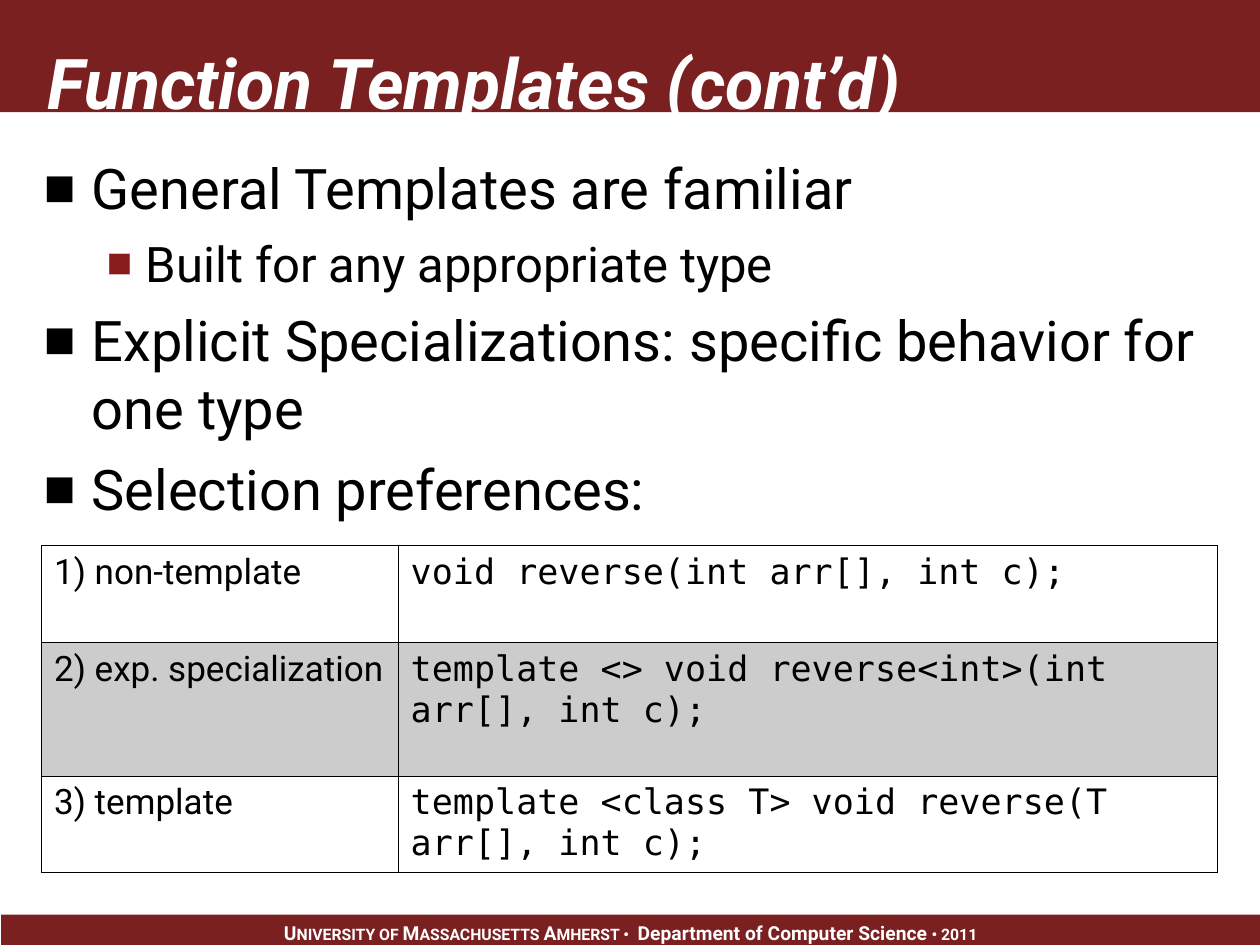
"""Build the slide on function templates and their selection order."""
from lxml import etree
from pptx import Presentation
from pptx.dml.color import RGBColor
from pptx.enum.shapes import MSO_SHAPE
from pptx.enum.text import MSO_ANCHOR, MSO_AUTO_SIZE, PP_ALIGN
from pptx.oxml.ns import qn
from pptx.util import Inches, Pt

RECTANGLE = MSO_SHAPE.RECTANGLE
TOP, BOTTOM = MSO_ANCHOR.TOP, MSO_ANCHOR.BOTTOM
LEFT, CENTER = PP_ALIGN.LEFT, PP_ALIGN.CENTER
NO_AUTOFIT = MSO_AUTO_SIZE.NONE
MAROON = RGBColor(0x7A, 0x20, 0x21)
CRIMSON = RGBColor(0x88, 0x1C, 0x1C)
WHITE = RGBColor(0xFF, 0xFF, 0xFF)
BLACK = RGBColor(0, 0, 0)
BODY_FONT, CODE_FONT = "Roboto", "DejaVu Sans Mono"
COLUMNS, ROWS = 100, 75
LEVELS = [
    {"size": 32, "before": 8, "margin": 0.38, "hang": 0.38, "color": BLACK, "percent": 60},
    {"size": 28, "before": 7, "margin": 0.81, "hang": 0.31, "color": CRIMSON, "percent": 55},
]
THIN, THICK = 0.45, 0.96

POINTS = [
    (0, "General Templates are familiar"),
    (1, "Built for any appropriate type"),
    (0, "Explicit Specializations: specific behavior for one type"),
    (0, "Selection preferences:"),
]
PREFERENCES = [
    ("1) non-template", "void reverse(int arr[], int c);"),
    ("2) exp. specialization", "template <> void reverse<int>(int arr[], int c);"),
    ("3) template", "template <class T> void reverse(T arr[], int c);"),
]
FOOTER = [("U", 11), ("NIVERSITY OF ", 9), ("M", 11), ("ASSACHUSETTS ", 9), ("A", 11),
          ("MHERST • ", 9), (" Department of Computer Science", 11), (" • 2011", 9)]


def add_child(parent, tag, **attributes):
    """Append a DrawingML element and return it."""
    child = etree.SubElement(parent, qn(tag))
    for name, value in attributes.items():
        child.set(name, str(value))
    return child


class LectureSlide:
    """Holds the slide, its grid and the lecture style."""

    def __init__(self, deck):
        self.slide = deck.slides.add_slide(deck.slide_layouts[5])
        self.shapes = self.slide.shapes
        self.column = deck.slide_width / COLUMNS
        self.row = deck.slide_height / ROWS

    def area(self, left, top, width, height):
        """Convert grid columns and rows to slide lengths."""
        return (round(left * self.column), round(top * self.row),
                round(width * self.column), round(height * self.row))

    def run(self, paragraph, text, size, color=BLACK, font=BODY_FONT, bold=False, italic=False):
        """Add one styled run."""
        run = paragraph.add_run()
        run.text = text
        run.font.name, run.font.size = font, Pt(size)
        run.font.bold, run.font.italic = bold, italic
        run.font.color.rgb = color

    def band(self, *area):
        """Add a plain maroon band."""
        band = self.shapes.add_shape(RECTANGLE, *self.area(*area))
        band.shadow.inherit = False
        band.fill.solid()
        band.fill.fore_color.rgb = MAROON
        band.line.fill.background()
        return band

    def footer(self, pieces, *area):
        """Add the bottom band with its centred line."""
        frame = self.band(*area).text_frame
        frame.vertical_anchor = TOP
        frame.margin_bottom = 0
        line = frame.paragraphs[0]
        line.alignment = CENTER
        for text, size in pieces:
            self.run(line, text, size, WHITE, bold=True)

    def title(self, text, *area):
        """Fill the title placeholder and bring it above the band."""
        title = self.shapes.title
        title.left, title.top, title.width, title.height = self.area(*area)
        frame = title.text_frame
        frame.auto_size = NO_AUTOFIT
        frame.vertical_anchor = BOTTOM
        frame.margin_bottom = Inches(0.03)
        frame.paragraphs[0].alignment = LEFT
        self.run(frame.paragraphs[0], text, 40, WHITE, bold=True, italic=True)
        title.element.getparent().append(title.element)

    def bullets(self, points, *area):
        """Add the two-level bullet list."""
        frame = self.shapes.add_textbox(*self.area(*area)).text_frame
        frame.word_wrap = True
        for index, (level, text) in enumerate(points):
            look = LEVELS[level]
            paragraph = frame.add_paragraph() if index else frame.paragraphs[0]
            paragraph.level = level
            properties = paragraph._p.get_or_add_pPr()
            properties.set("marL", str(Inches(look["margin"])))
            properties.set("indent", str(-Inches(look["hang"])))
            add_child(add_child(properties, "a:buClr"), "a:srgbClr", val=look["color"])
            add_child(properties, "a:buSzPct", val=look["percent"] * 1000)
            add_child(properties, "a:buFont", typeface=BODY_FONT)
            add_child(properties, "a:buChar", char="■")
            if index:
                paragraph.space_before = Pt(look["before"])
            self.run(paragraph, text, look["size"])

    def borders(self, cell, top, bottom):
        """Draw the four sides of a cell."""
        properties = cell._tc.get_or_add_tcPr()
        sides = [("a:lnL", THIN), ("a:lnR", THIN), ("a:lnT", top), ("a:lnB", bottom)]
        for position, (tag, width) in enumerate(sides):
            side = add_child(properties, tag, w=Pt(width))
            add_child(add_child(side, "a:solidFill"), "a:srgbClr", val=BLACK)
            properties.insert(position, side)

    def shade(self, cell, percent):
        """Tint a cell with translucent black."""
        cell.fill.solid()
        cell.fill.fore_color.rgb = BLACK
        color = cell._tc.tcPr.find(".//" + qn("a:srgbClr"))
        add_child(color, "a:alpha", val=percent * 1000)

    def table(self, entries, left, top, widths, heights):
        """Add the ruled table with its middle row shaded."""
        area = self.area(left, top, sum(widths), sum(heights))
        table = self.shapes.add_table(len(heights), len(widths), *area).table
        table.first_row = table.horz_banding = False
        for column, width in zip(table.columns, widths):
            column.width = round(width * self.column)
        for row, height in zip(table.rows, heights):
            row.height = round(height * self.row)
        for index, entry in enumerate(entries):
            for position, (text, font) in enumerate(zip(entry, (BODY_FONT, CODE_FONT))):
                cell = table.cell(index, position)
                self.run(cell.text_frame.paragraphs[0], text, 20, font=font)
                if index == 1:
                    self.shade(cell, 20)
                else:
                    cell.fill.background()
                self.borders(cell, THICK if index == 1 else THIN, THICK if index == 0 else THIN)


def main():
    """Compose and save the slide."""
    deck = Presentation()
    deck.slide_width, deck.slide_height = Inches(10), Inches(7.5)
    lecture = LectureSlide(deck)
    lecture.footer(FOOTER, 0.1, 72.6, 99.9, 2.4)
    lecture.band(0, 0, COLUMNS, 8.9)
    lecture.title("Function Templates (cont’d)", 2.8, 1.2, 83.3, 8.9)
    lecture.bullets(POINTS, 2.5, 11.7, 95, 30)
    lecture.table(PREFERENCES, 3.3, 43.3, (28.3, 65), (7.7, 10.6, 7.5))
    deck.save("out.pptx")


if __name__ == "__main__":
    main()
